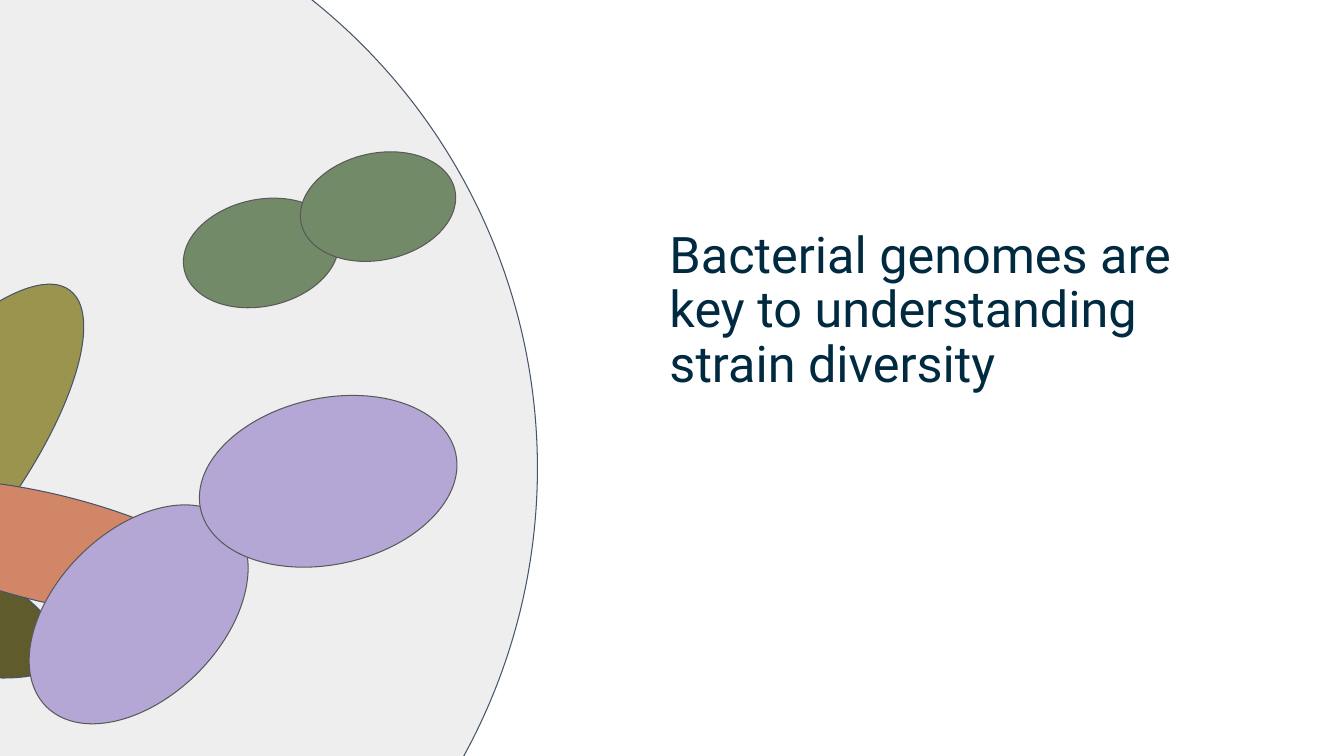
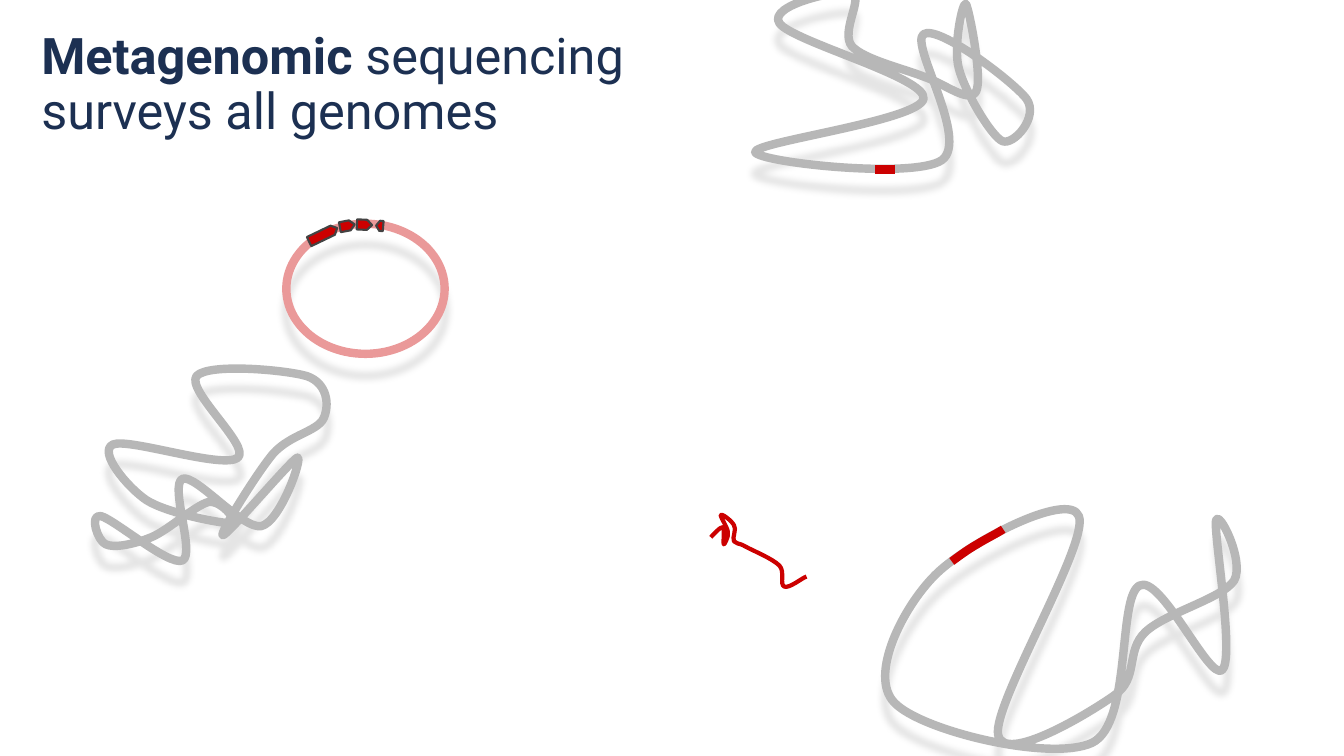
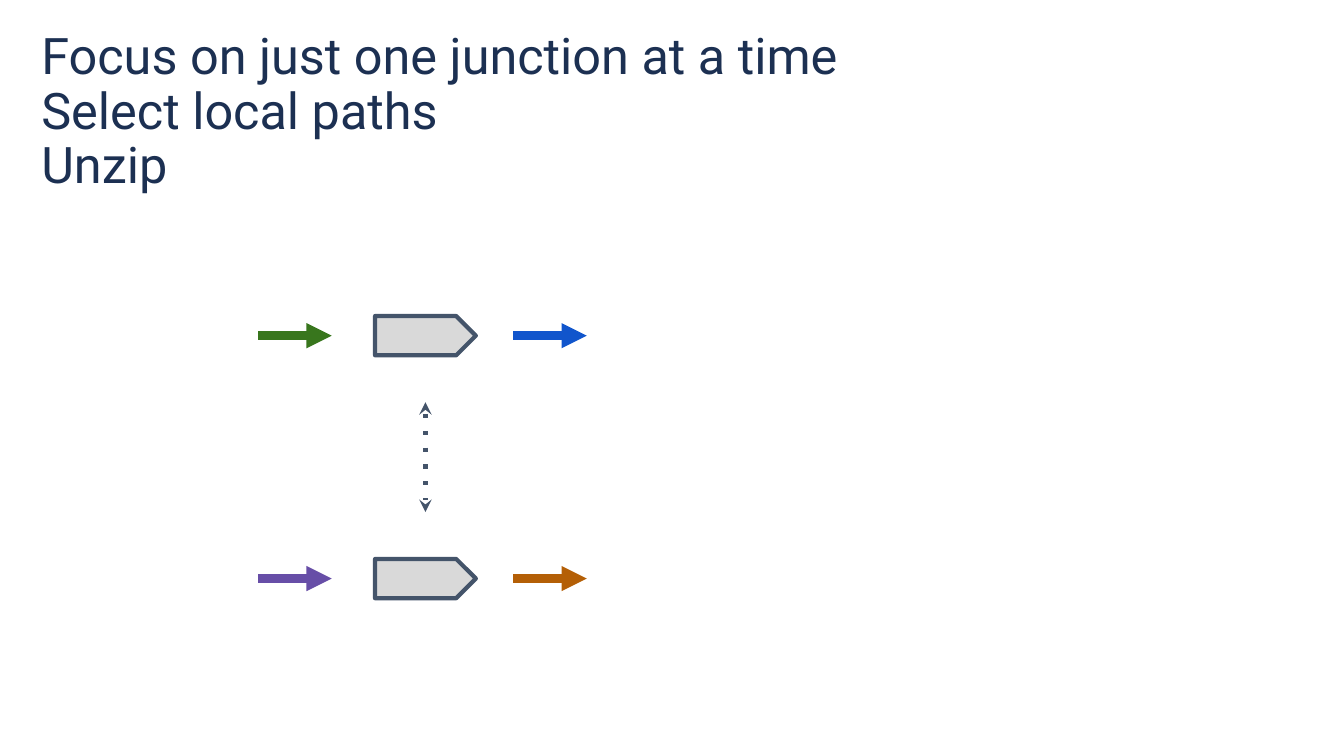
from dataclasses import dataclass
from math import cos, radians, sin

from lxml import etree
from pptx import Presentation
from pptx.dml.color import RGBColor
from pptx.enum.shapes import MSO_CONNECTOR as Conn, MSO_SHAPE as Shape
from pptx.enum.text import MSO_ANCHOR, MSO_AUTO_SIZE, PP_ALIGN
from pptx.oxml.ns import qn
from pptx.util import Inches, Pt


@dataclass(frozen=True)
class Theme:
    width: float = 13.33
    height: float = 7.5
    font: str = "Roboto"
    title_size: int = 36
    line_spacing: float = 0.9
    title_dark: str = "002A40"
    title: str = "1C3052"
    slate: str = "44546A"
    outline: str = "595959"
    dish: str = "EEEEEE"
    olive: str = "9B944F"
    dark_olive: str = "5F5B2C"
    coral: str = "D18667"
    lilac: str = "B4A7D6"
    sage: str = "738A69"
    genome: str = "B7B7B7"
    plasmid: str = "EA9999"
    gene: str = "CC0000"
    gene_edge: str = "434343"
    node: str = "D9D9D9"
    green: str = "38761D"
    blue: str = "1155CC"
    purple: str = "674EA7"
    orange: str = "B45F06"
    hairline: float = 0.75
    thin: float = 1.5
    medium: float = 3
    thick: float = 6


T = Theme()


@dataclass(frozen=True)
class Curve:
    """A frame, a start point, and rows of two control points and an end."""
    box: tuple
    start: tuple
    rows: list
    rot: float = 0


LEFT_GENOME = Curve((0.94, 3.65, 2.3, 1.92), (1.12, 4.41), [
    (0.97, 4.48, 1.26, 4.83, 1.45, 4.96), (1.65, 5.09, 2.18, 5.19, 2.28, 5.19),
    (2.39, 5.2, 2.2, 4.96, 2.07, 4.98), (1.94, 5.01, 1.67, 5.26, 1.5, 5.33),
    (1.33, 5.4, 1.13, 5.44, 1.05, 5.4), (0.97, 5.37, 0.88, 5.1, 1, 5.12),
    (1.13, 5.15, 1.68, 5.62, 1.81, 5.56), (1.94, 5.5, 1.68, 4.81, 1.81, 4.75),
    (1.94, 4.7, 2.4, 5.25, 2.59, 5.22), (2.78, 5.18, 3.01, 4.53, 2.95, 4.54),
    (2.89, 4.56, 2.25, 5.32, 2.21, 5.31), (2.17, 5.3, 2.55, 4.69, 2.71, 4.5),
    (2.88, 4.31, 3.15, 4.28, 3.21, 4.15), (3.27, 4.02, 3.25, 3.8, 3.04, 3.73),
    (2.83, 3.67, 2.07, 3.6, 1.95, 3.73), (1.84, 3.87, 2.49, 4.43, 2.36, 4.54),
    (2.22, 4.66, 1.27, 4.34, 1.12, 4.41)])
TOP_GENOME = Curve((7.49, -0.08, 2.72, 1.76), (7.73, 0.23), [
    (7.61, 0.05, 8.33, -0.11, 8.45, -0.07), (8.57, -0.03, 8.33, 0.32, 8.45, 0.46),
    (8.57, 0.59, 8.96, 0.68, 9.16, 0.76), (9.37, 0.83, 9.61, 1.03, 9.68, 0.91),
    (9.75, 0.79, 9.61, 0.08, 9.58, 0.04), (9.55, 0, 9.45, 0.46, 9.51, 0.68),
    (9.57, 0.91, 9.83, 1.35, 9.94, 1.4), (10.05, 1.45, 10.31, 1.16, 10.18, 0.98),
    (10.05, 0.81, 9.3, 0.24, 9.16, 0.34), (9.02, 0.44, 9.62, 1.39, 9.34, 1.59),
    (9.06, 1.78, 7.52, 1.61, 7.49, 1.51), (7.46, 1.41, 9.12, 1.2, 9.16, 0.98),
    (9.2, 0.77, 7.85, 0.41, 7.73, 0.23)])
RIGHT_GENOME = Curve((8.78, 5.05, 3.49, 2.38), (9.9, 7.29), [
    (9.96, 7.59, 10.81, 7.07, 11.05, 6.9), (11.3, 6.73, 11.16, 6.46, 11.36, 6.27),
    (11.56, 6.08, 12.12, 5.94, 12.24, 5.76), (12.35, 5.57, 12.08, 5.03, 12.06, 5.17),
    (12.04, 5.32, 12.25, 6.54, 12.12, 6.65), (11.99, 6.75, 11.51, 5.69, 11.3, 5.81),
    (11.08, 5.93, 11.23, 7.18, 10.83, 7.37), (10.42, 7.56, 9.13, 7.25, 8.87, 6.97),
    (8.61, 6.7, 8.96, 6.02, 9.27, 5.71), (9.57, 5.4, 10.6, 4.86, 10.7, 5.12),
    (10.81, 5.38, 9.84, 6.99, 9.9, 7.29)])
INSERTED_GENE = Curve((9.44, 5.25, 0.51, 0.31), (9.44, 5.57), [
    (9.48, 5.54, 9.6, 5.45, 9.69, 5.4), (9.77, 5.35, 9.91, 5.28, 9.95, 5.25)])
FREE_STRAND = Curve((7.13, 5, 0.73, 0.91), (7.05, 5.33), [
    (7.07, 5.31, 7.15, 5.22, 7.17, 5.23), (7.19, 5.24, 7.17, 5.39, 7.18, 5.4),
    (7.18, 5.41, 7.23, 5.33, 7.22, 5.28), (7.22, 5.24, 7.14, 5.12, 7.15, 5.11),
    (7.16, 5.09, 7.26, 5.17, 7.28, 5.21), (7.31, 5.25, 7.26, 5.33, 7.28, 5.37),
    (7.3, 5.4, 7.32, 5.38, 7.39, 5.42), (7.46, 5.46, 7.66, 5.54, 7.73, 5.61),
    (7.79, 5.67, 7.73, 5.8, 7.78, 5.82), (7.83, 5.84, 7.96, 5.73, 8, 5.72)], 338.1)


def inches(values):
    return [Inches(v) for v in values]


def rgb(color):
    return RGBColor.from_string(color)


def add_xml(parent, tag, **attrs):
    return etree.SubElement(parent, qn(tag), {k: str(v) for k, v in attrs.items()})


def set_line(shape, color, width):
    shape.line.color.rgb = rgb(color)
    shape.line.width = Pt(width)


def set_shadow(shape):
    """Give a soft, faint shadow straight below the shape."""
    shape.shadow.inherit = False
    effects = shape._element.spPr.find(qn("a:effectLst"))
    shadow = add_xml(effects, "a:outerShdw", blurRad=Pt(4.5), dist=Pt(15),
                     dir=90 * 60000, algn="bl", rotWithShape=0)
    black = add_xml(shadow, "a:srgbClr", val="000000")
    add_xml(black, "a:alpha", val=10000)


def finish(shape, fill, line, width, shadow=False):
    if fill:
        shape.fill.solid()
        shape.fill.fore_color.rgb = rgb(fill)
    else:
        shape.fill.background()
    set_line(shape, line, width)
    if shadow:
        set_shadow(shape)
    else:
        shape.shadow.inherit = False


def add_preset(parent, kind, box, fill, line, width, rot=0, adj=(), shadow=False):
    """Add a preset shape to a slide or a group."""
    sp = parent.shapes.add_shape(kind, *inches(box))
    sp.rotation = rot
    for i, value in enumerate(adj):
        sp.adjustments[i] = value
    finish(sp, fill, line, width, shadow)


def local_point(curve, x, y):
    """Turn a slide point into a point of the curve's unrotated frame, in EMU."""
    left, top, w, h = curve.box
    dx, dy = x - left - w / 2, y - top - h / 2
    a = radians(-curve.rot)
    return (Inches(w / 2 + dx * cos(a) - dy * sin(a)),
            Inches(h / 2 + dx * sin(a) + dy * cos(a)))


def add_curve(s, curve, color, width, closed=False):
    """Add a freeform whose segments are cubic curves."""
    builder = s.shapes.build_freeform(*inches(curve.start))
    builder.add_line_segments([inches(row[4:]) for row in curve.rows], close=closed)
    sp = builder.convert_to_shape()
    sp.left, sp.top, sp.width, sp.height = inches(curve.box)
    sp.rotation = curve.rot
    outline = next(sp._element.iter(qn("a:path")))
    outline.clear()
    outline.set("w", str(sp.width))
    outline.set("h", str(sp.height))
    segments = [("a:moveTo", curve.start)]
    segments += [("a:cubicBezTo", row) for row in curve.rows]
    for tag, numbers in segments:
        segment = add_xml(outline, tag)
        for point in zip(numbers[::2], numbers[1::2]):
            x, y = local_point(curve, *point)
            add_xml(segment, "a:pt", x=x, y=y)
    if closed:
        add_xml(outline, "a:close")
    finish(sp, None, color, width, shadow=closed)
    add_xml(sp.line._get_or_add_ln(), "a:round")


def add_line(s, start, end, color, width, dash=None, head=None, tail=None):
    cx = s.shapes.add_connector(Conn.STRAIGHT, *inches(start + end))
    set_line(cx, color, width)
    ln = cx.line._get_or_add_ln()
    if dash:
        add_xml(ln, "a:prstDash", val=dash)
    for tag, arrow in (("a:headEnd", head), ("a:tailEnd", tail)):
        if arrow:
            add_xml(ln, tag, type=arrow)
    add_xml(cx._element.spPr, "a:effectLst")


def add_title_slide(prs, paragraphs, box, color=T.title):
    """Add a title-only slide; paragraphs hold (text, bold) runs, None breaks a line."""
    s = prs.slides.add_slide(prs.slide_layouts[5])
    title = s.shapes.title
    title.left, title.top, title.width, title.height = inches(box)
    tf = title.text_frame
    frame = dict(word_wrap=True, auto_size=MSO_AUTO_SIZE.NONE,
                 vertical_anchor=MSO_ANCHOR.TOP,
                 margin_left=Inches(0.1), margin_right=Inches(0.1),
                 margin_top=Inches(0.05), margin_bottom=Inches(0.05))
    for name, value in frame.items():
        setattr(tf, name, value)
    for i, runs in enumerate(paragraphs):
        p = tf.add_paragraph() if i else tf.paragraphs[0]
        p.alignment, p.line_spacing = PP_ALIGN.LEFT, T.line_spacing
        p.space_before = Pt(0)
        for run in runs:
            if run is None:
                p.add_line_break()
                continue
            r = p.add_run()
            r.text, bold = run
            font = dict(name=T.font, size=Pt(T.title_size), bold=bold)
            for name, value in font.items():
                setattr(r.font, name, value)
            r.font.color.rgb = rgb(color)
    return s


def bring_title_to_front(s):
    s.shapes._spTree.append(s.shapes.title._element)


def diversity_slide(prs):
    text = "Bacterial genomes are key to understanding strain diversity"
    s = add_title_slide(prs, [[(text, False)]], (6.54, 2.23, 5.92, 1.78), T.title_dark)
    cells = [
        ((-6.56, -1.3, 11.89, 11.89), 0, T.dish, T.slate),
        ((-4.07, 4.96, 4.84, 1.36), 21.4, T.dark_olive, T.slate),
        ((-2.94, 3.91, 4.54, 1.57), 306.9, T.olive, T.slate),
        ((-1.4, 4.9, 3.75, 1.07), 13.5, T.coral, T.slate),
        ((0.08, 5.27, 2.59, 1.65), 315, T.lilac, T.outline),
        ((1.96, 3.95, 2.59, 1.65), 347.7, T.lilac, T.outline),
        ((1.81, 1.98, 1.56, 1.06), 347.7, T.sage, T.outline),
        ((2.97, 1.52, 1.56, 1.06), 347.7, T.sage, T.outline),
    ]
    dish = s.shapes.add_group_shape()
    for box, rot, fill, line in cells:
        add_preset(dish, Shape.OVAL, box, fill, line, T.hairline, rot)
    bring_title_to_front(s)


def metagenomic_slide(prs):
    s = add_title_slide(prs, [[("Metagenomic", True), (" sequencing", False), None,
                               ("surveys all genomes", False)]],
                        (0.31, 0.26, 8.71, 2.45))
    for genome in (LEFT_GENOME, TOP_GENOME, RIGHT_GENOME):
        add_curve(s, genome, T.genome, T.thick, closed=True)
    add_line(s, (8.68, 1.68), (8.88, 1.68), T.gene, T.thick)
    plasmid = s.shapes.add_group_shape()
    add_preset(plasmid, Shape.OVAL, (2.84, 2.22, 1.57, 1.29), None, T.plasmid, T.thick,
               shadow=True)
    genes = [(3.05, 2.28, 0.31, 334.3), (3.37, 2.19, 0.15, 349.2),
             (3.54, 2.18, 0.15, 2.8), (3.73, 2.19, 0.07, 184.9)]
    for x, y, w, rot in genes:
        add_preset(plasmid, Shape.RIGHT_ARROW, (x, y, w, 0.1), T.gene, T.gene_edge,
                   T.thin, rot, (1, 0.5))
    add_curve(s, INSERTED_GENE, T.gene, T.thick)
    add_curve(s, FREE_STRAND, T.gene, T.medium)


def junction_slide(prs):
    lines = ("Focus on just one junction at a time", "Select local paths", "Unzip")
    s = add_title_slide(prs, [[(line, False)] for line in lines],
                        (0.31, 0.26, 8.44, 3.38))
    arrow_w, in_x, out_x = 0.73, 2.56, 5.09
    node_x, node_w, node_h = 3.72, 1, 0.39
    rows = [(3.33, T.green, T.blue), (5.74, T.purple, T.orange)]
    for y, in_color, out_color in rows:
        add_preset(s, Shape.PENTAGON, (node_x, y - node_h / 2, node_w, node_h),
                   T.node, T.slate, T.medium, adj=(0.5,))
        for x, color in ((in_x, in_color), (out_x, out_color)):
            add_line(s, (x, y), (x + arrow_w, y), color, T.thick, tail="triangle")
    mid_x = node_x + node_w / 2
    add_line(s, (mid_x, 3.99), (mid_x, 5.08), T.slate, T.medium, dash="dot",
             head="stealth", tail="stealth")
    bring_title_to_front(s)


def main():
    prs = Presentation()
    prs.slide_width, prs.slide_height = inches((T.width, T.height))
    diversity_slide(prs)
    metagenomic_slide(prs)
    junction_slide(prs)
    prs.save("out.pptx")


if __name__ == "__main__":
    main()
